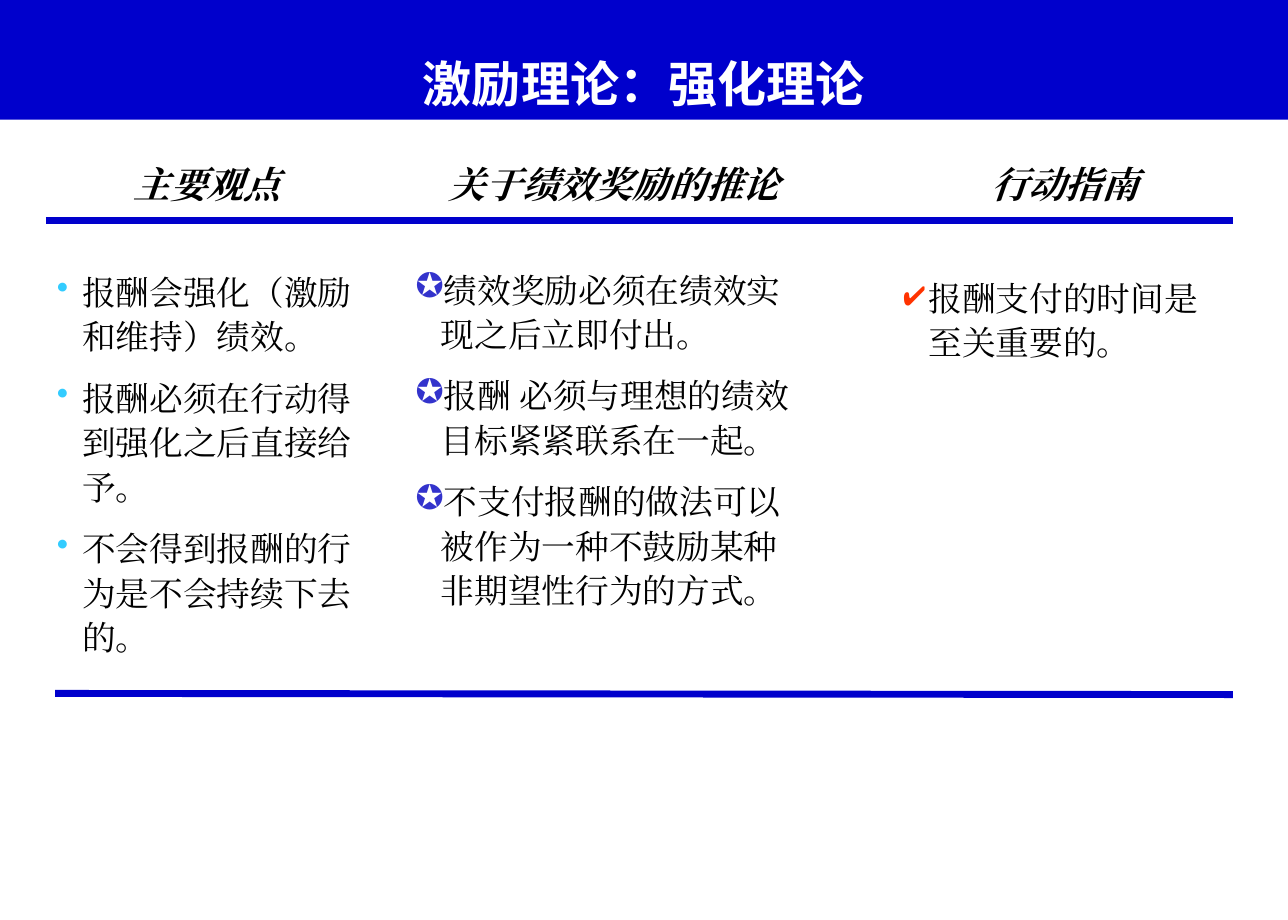
from dataclasses import dataclass

from lxml import etree
from pptx import Presentation
from pptx.dml.color import RGBColor
from pptx.enum.shapes import MSO_CONNECTOR, MSO_SHAPE
from pptx.enum.text import MSO_ANCHOR, PP_ALIGN
from pptx.oxml.ns import qn
from pptx.util import Emu, Pt

LINE = MSO_CONNECTOR.STRAIGHT
RECTANGLE = MSO_SHAPE.RECTANGLE
BOTTOM = MSO_ANCHOR.BOTTOM
CENTER = PP_ALIGN.CENTER

BLUE = RGBColor(0x00, 0x00, 0xCC)
WHITE = RGBColor(0xFF, 0xFF, 0xFF)
BLACK = RGBColor(0x00, 0x00, 0x00)
SKY = RGBColor(0x33, 0xCC, 0xFF)
INDIGO = RGBColor(0x33, 0x33, 0xCC)
RED = RGBColor(0xFF, 0x33, 0x00)

TITLE_FONT = "Noto Sans CJK SC"
TEXT_FONT = "Times New Roman"
EMU_PER_PX = 9525
HANGING_INDENT = 22


@dataclass
class Box:
    left: int
    top: int
    width: int
    height: int


@dataclass
class Column:
    heading: str
    heading_box: Box
    body_box: Box
    bullet: str
    bullet_color: RGBColor
    points: list[str]


@dataclass
class Rule:
    left: int
    start_y: int
    right: int
    end_y: int


COLUMNS = [
    Column("主要观点", Box(32, 136, 296, 48), Box(40, 228, 288, 277), "•", SKY, [
        "报酬会强化（激励和维持）绩效。",
        "报酬必须在行动得到强化之后直接给予。",
        "不会得到报酬的行为是不会持续下去的。",
    ]),
    Column("关于绩效奖励的推论", Box(368, 136, 332, 48), Box(352, 226, 344, 316), "✪", INDIGO, [
        "绩效奖励必须在绩效实现之后立即付出。",
        "报酬 必须与理想的绩效目标紧紧联系在一起。",
        "不支付报酬的做法可以被作为一种不鼓励某种非期望性行为的方式。",
    ]),
    Column("行动指南", Box(760, 136, 332, 48), Box(776, 233, 304, 87), "✔", RED, [
        "报酬支付的时间是至关重要的。",
    ]),
]
RULES = [Rule(40, 192, 1072, 192), Rule(48, 603, 1072, 604)]


def px(length: int) -> Emu:
    return Emu(length * EMU_PER_PX)


def place(box: Box) -> tuple[Emu, Emu, Emu, Emu]:
    return px(box.left), px(box.top), px(box.width), px(box.height)


def add_run(paragraph, text: str, size: int, color: RGBColor, font_name: str,
            bold: bool = False, italic: bool = False) -> None:
    run = paragraph.add_run()
    run.text = text
    font = run.font
    font.size, font.bold, font.italic = Pt(size), bold, italic
    font.color.rgb = color
    font.name = font_name
    # East Asian glyphs use the same typeface
    etree.SubElement(run._r.get_or_add_rPr(), qn("a:ea"), typeface=font_name)


def add_bullet(paragraph, character: str, color: RGBColor) -> None:
    properties = paragraph._p.get_or_add_pPr()
    properties.set("marL", str(px(HANGING_INDENT)))
    properties.set("indent", str(-px(HANGING_INDENT)))
    bullet_color = etree.SubElement(properties, qn("a:buClr"))
    etree.SubElement(bullet_color, qn("a:srgbClr"), val=str(color))
    etree.SubElement(properties, qn("a:buChar"), char=character)


def add_text_frame(slide, box: Box):
    text_frame = slide.shapes.add_textbox(*place(box)).text_frame
    text_frame.word_wrap = True
    return text_frame


def add_title(slide, text: str, box: Box) -> None:
    shape = slide.shapes.add_shape(RECTANGLE, *place(box))
    shape.shadow.inherit = False
    shape.fill.solid()
    shape.fill.fore_color.rgb = BLUE
    shape.line.fill.background()
    text_frame = shape.text_frame
    text_frame.word_wrap = True
    text_frame.vertical_anchor = BOTTOM
    text_frame.margin_top = text_frame.margin_bottom = px(6)
    paragraph = text_frame.paragraphs[0]
    paragraph.alignment = CENTER
    paragraph.line_spacing = 3.3
    add_run(paragraph, text, 32, WHITE, TITLE_FONT, bold=True)


def add_column(slide, column: Column) -> None:
    heading = add_text_frame(slide, column.heading_box).paragraphs[0]
    heading.alignment = CENTER
    add_run(heading, column.heading, 24, BLACK, TEXT_FONT, bold=True, italic=True)

    body = add_text_frame(slide, column.body_box)
    for index, point in enumerate(column.points):
        paragraph = body.add_paragraph() if index else body.paragraphs[0]
        paragraph.line_spacing = 1.1
        if index:
            paragraph.space_before = Pt(11)
        add_bullet(paragraph, column.bullet, column.bullet_color)
        add_run(paragraph, point, 22, BLACK, TEXT_FONT)


def add_rule(slide, rule: Rule) -> None:
    connector = slide.shapes.add_connector(
        LINE, px(rule.left), px(rule.start_y), px(rule.right), px(rule.end_y))
    connector.line.color.rgb = BLUE
    connector.line.width = Pt(4.5)
    etree.SubElement(connector._element.spPr, qn("a:effectLst"))


def main() -> None:
    presentation = Presentation()
    presentation.slide_width, presentation.slide_height = px(1120), px(800)
    slide = presentation.slides.add_slide(presentation.slide_layouts[6])

    # Title band
    add_title(slide, "激励理论：强化理论", Box(0, 0, 1120, 104))

    # Three columns of headings and points
    for column in COLUMNS:
        add_column(slide, column)

    # Rules above and below the points
    for rule in RULES:
        add_rule(slide, rule)

    presentation.save("out.pptx")


if __name__ == "__main__":
    main()
